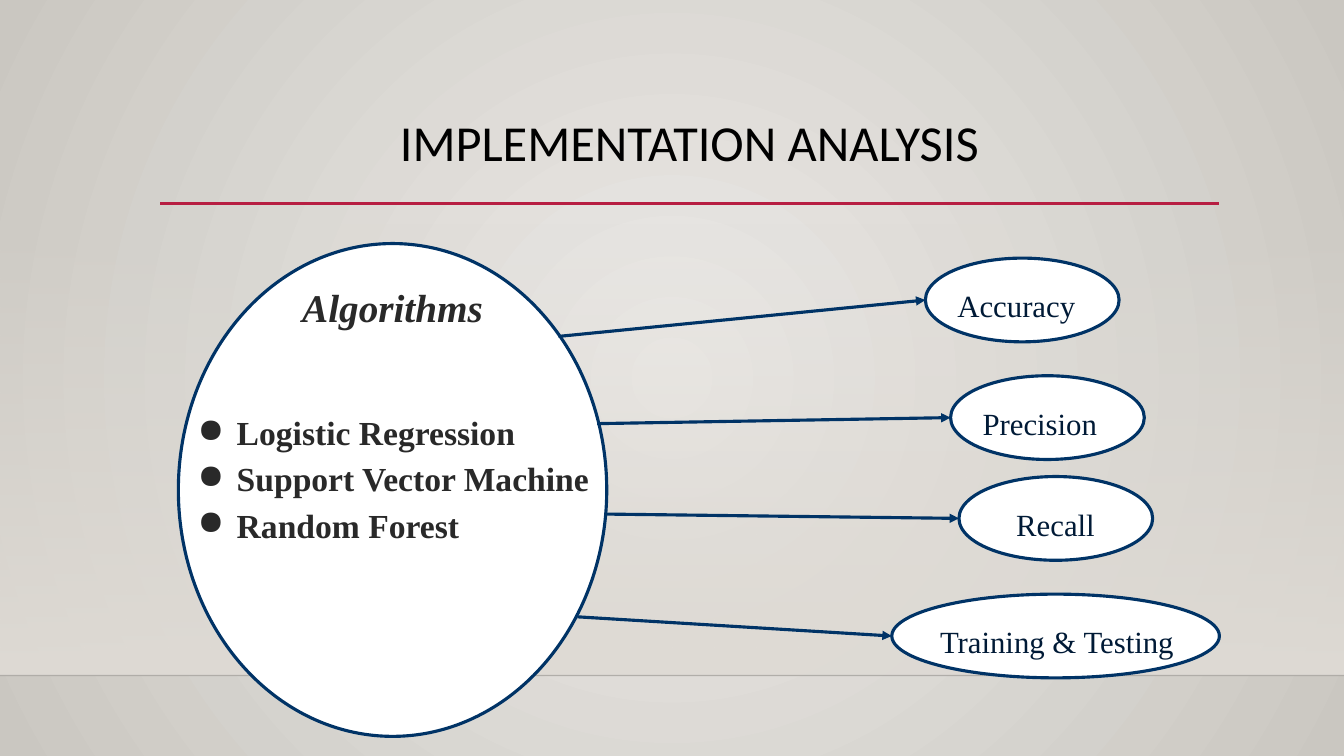
from dataclasses import dataclass

from lxml import etree
from pptx import Presentation
from pptx.dml.color import RGBColor
from pptx.enum import shapes, text
from pptx.oxml import ns, parse_xml
from pptx.util import Pt


@dataclass(frozen=True)
class Theme:
    """Colours, fonts and sizes of the deck."""
    inner: str = "ECEAE7"
    outer: str = "CAC7C1"
    floor: str = "DFDBD5"
    black: str = "000000"
    red: str = "B71E42"
    navy: str = "003366"
    white: str = "FFFFFF"
    dark: str = "292929"
    ink: str = "001A36"
    sans: str = "Calibri"
    serif: str = "Times New Roman"
    title: float = 36
    head: float = 28
    item: float = 24
    label: float = 22
    line: float = 2.25
    rule: float = 2.5


THEME = Theme()
WIDE, HIGH = 960, 540


def blend(stops, way):
    """Return a gradient fill element from (place, colour, alpha) stops."""
    marks = "".join(
        f'<a:gs pos="{pos * 1000}"><a:srgbClr val="{tint}">'
        f'<a:alpha val="{alpha * 1000}"/></a:srgbClr></a:gs>'
        for pos, tint, alpha in stops)
    return parse_xml(f'<a:gradFill {ns.nsdecls("a")} rotWithShape="1">'
                     f'<a:gsLst>{marks}</a:gsLst>{way}</a:gradFill>')


def swap(fill, stops, way):
    """Replace a default gradient with the given one."""
    fill.gradient()
    old = fill._xPr.find(ns.qn("a:gradFill"))
    fill._xPr.replace(old, blend(stops, way))


def style(para, font, size, tint, bold=False, slant=False):
    """Format every run of a paragraph."""
    for run in para.runs:
        run.font.name = font
        run.font.size = Pt(size)
        run.font.color.rgb = RGBColor.from_string(tint)
        run.font.bold = bold
        run.font.italic = slant


def stroke(slide, start, end, tint, width, alpha=100, arrow=False):
    """Draw a straight line between two points."""
    line = slide.shapes.add_connector(
        shapes.MSO_CONNECTOR.STRAIGHT, *map(Pt, start + end))
    line.line.color.rgb = RGBColor.from_string(tint)
    line.line.width = Pt(width)
    props = line._element.spPr
    etree.SubElement(props, ns.qn("a:effectLst"))
    if alpha < 100:
        clear = etree.SubElement(props.find(".//" + ns.qn("a:srgbClr")), ns.qn("a:alpha"))
        clear.set("val", str(alpha * 1000))
    if arrow:
        tip = etree.SubElement(props.find(ns.qn("a:ln")), ns.qn("a:tailEnd"))
        tip.set("type", "triangle")


def oval(slide, box):
    """Draw a white ellipse with a navy edge."""
    shape = slide.shapes.add_shape(shapes.MSO_SHAPE.OVAL, *map(Pt, box))
    shape.shadow.inherit = False
    shape.fill.solid()
    shape.fill.fore_color.rgb = RGBColor.from_string(THEME.white)
    shape.line.color.rgb = RGBColor.from_string(THEME.navy)
    shape.line.width = Pt(THEME.line)


def write(slide, box, words):
    """Add a text box and return its paragraphs."""
    frame = slide.shapes.add_textbox(*map(Pt, box)).text_frame
    frame.word_wrap = True
    frame.margin_left = frame.margin_right = Pt(7.2)
    frame.margin_top = frame.margin_bottom = Pt(7.2)
    frame.text = words
    for para in frame.paragraphs:
        para.line_spacing = 1.15
    return frame.paragraphs


def bullet(para):
    """Give a paragraph a round bullet and a hanging indent."""
    props = para._p.get_or_add_pPr()
    props.set("marL", str(Pt(36)))
    props.set("indent", str(-Pt(28)))
    tint = etree.SubElement(props, ns.qn("a:buClr"))
    etree.SubElement(tint, ns.qn("a:srgbClr")).set("val", THEME.dark)
    etree.SubElement(props, ns.qn("a:buChar")).set("char", "●")


def backdrop(slide, box):
    """Paint the wall, the fading band and the floor line."""
    left, top, width, height = box
    swap(slide.background.fill, [(0, THEME.inner, 100), (100, THEME.outer, 100)],
         '<a:path path="circle"><a:fillToRect l="50000" t="50000" r="50000" b="50000"/></a:path>')
    band = slide.shapes.add_shape(shapes.MSO_SHAPE.RECTANGLE, *map(Pt, box))
    band.shadow.inherit = False
    band.line.fill.background()
    swap(band.fill, [(0, THEME.floor, 0), (100, THEME.floor, 100)],
         '<a:lin ang="5400000" scaled="0"/>')
    base = top + height
    stroke(slide, (left, base), (left + width, base), THEME.black, 1, alpha=20)


def heading(slide, box, words):
    """Place the title with a red rule under it."""
    left, top, width, height = box
    base = top + height
    stroke(slide, (left, base), (left + width, base), THEME.red, THEME.rule)
    title = slide.shapes.title
    title.left, title.top, title.width, title.height = map(Pt, box)
    frame = title.text_frame
    frame.text = words
    frame.auto_size = text.MSO_AUTO_SIZE.NONE
    frame.vertical_anchor = text.MSO_ANCHOR.MIDDLE
    para = frame.paragraphs[0]
    para.alignment = text.PP_ALIGN.CENTER
    para.line_spacing = 0.85
    style(para, THEME.sans, THEME.title, THEME.black)


def methods(slide, box, head, items):
    """Draw the large ellipse with its heading and bullet list."""
    left, top, width, height = box
    oval(slide, box)
    for para in write(slide, (left - 1.4, top + 108.7, width + 50, 115), "\n".join(items)):
        bullet(para)
        style(para, THEME.serif, THEME.item, THEME.dark, bold=True)
    para = write(slide, (left + 5, top + 15.8, width - 10, 48), head)[0]
    para.alignment = text.PP_ALIGN.CENTER
    style(para, THEME.serif, THEME.head, THEME.dark, bold=True, slant=True)


def metric(slide, box, words, inset, start):
    """Draw a small labelled ellipse and the arrow that reaches it."""
    left, top, width, height = box
    oval(slide, box)
    para = write(slide, (left + inset, top + 9.4, width - 25, 41), words)[0]
    style(para, THEME.serif, THEME.label, THEME.ink)
    stroke(slide, start, (left, top + height / 2), THEME.navy, THEME.line, arrow=True)


def main():
    """Build the slide and save it."""
    deck = Presentation()
    deck.slide_width, deck.slide_height = Pt(WIDE), Pt(HIGH)
    slide = deck.slides.add_slide(deck.slide_layouts[5])
    backdrop(slide, (0, 159, WIDE, 323.5))
    heading(slide, (114.3, 63, 756.5, 82.3), "IMPLEMENTATION ANALYSIS")
    methods(slide, (127.4, 174, 306, 352), "Algorithms",
            ["Logistic Regression", "Support Vector Machine", "Random Forest"])
    metrics = [
        ("Accuracy", 661, 184.4, 138.4, 15.8, (399, 240.3)),
        ("Precision", 679, 268.4, 138.4, 15.8, (426.5, 302.6)),
        ("Recall", 685, 340.4, 138.4, 33.8, (433, 367.2)),
        ("Training & Testing", 637, 424.4, 234, 27.4, (412.5, 440.6)),
    ]
    for words, left, top, width, inset, start in metrics:
        metric(slide, (left, top, width, 59.8), words, inset, start)
    deck.save("out.pptx")


if __name__ == "__main__":
    main()
